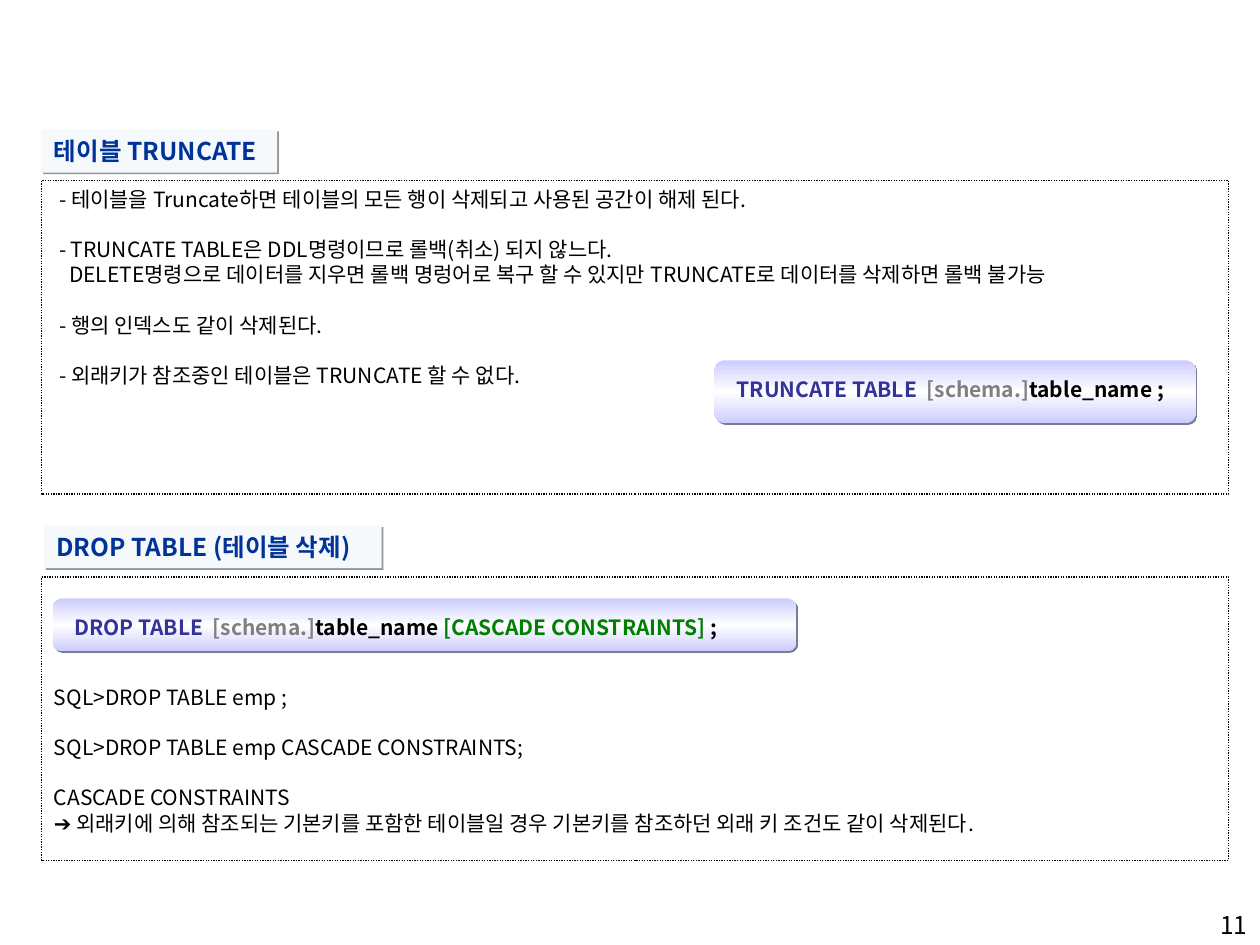
from copy import deepcopy
from dataclasses import dataclass

from lxml import etree
from pptx import Presentation
from pptx.dml.color import RGBColor as Color
from pptx.enum.dml import MSO_LINE as Dash
from pptx.enum.shapes import MSO_SHAPE as Preset
from pptx.enum.text import MSO_ANCHOR as Anchor, PP_ALIGN as Align
from pptx.oxml.ns import qn
from pptx.util import Inches, Pt


@dataclass(frozen=True)
class Theme:
    font: str = "Noto Sans CJK KR"
    symbol_font: str = "Arial"
    body_size: int = 12
    heading_size: int = 14
    line_height: float = 1.2
    text: str = "000000"
    heading: str = "003399"
    heading_fill: str = "F6F9FC"
    heading_shadow: str = "949597"
    keyword: str = "333399"
    optional: str = "808080"
    clause: str = "008000"
    code_edge: str = "CCCCFF"
    code_middle: str = "FFFFFF"
    code_shadow: str = "7A7A99"


class SlideBuilder:
    def __init__(self, slide, theme):
        self.slide = slide
        self.theme = theme

    def add_run(self, paragraph, text, size, color, bold=False, font=None):
        run = paragraph.add_run()
        run.text = text
        run.font.name = font or self.theme.font
        run.font.size = Pt(size)
        run.font.bold = bold
        run.font.color.rgb = Color.from_string(color)
        east_asian = etree.SubElement(run.font._element, qn("a:ea"))
        east_asian.set("typeface", self.theme.font)

    def format_paragraph(self, paragraph, size, align=Align.LEFT, gap=False):
        line = Pt(size * self.theme.line_height)
        paragraph.alignment = align
        paragraph.line_spacing = line
        paragraph.space_before = line if gap else Pt(0)

    def format_frame(self, frame, top=0.05, right=0.1):
        frame.word_wrap = True
        frame.vertical_anchor = Anchor.TOP
        frame.margin_left, frame.margin_right = Inches(0.1), Inches(right)
        frame.margin_top, frame.margin_bottom = Inches(top), Inches(0.05)

    def add_shape(self, preset, box):
        shape = self.slide.shapes.add_shape(preset, *map(Inches, box))
        shape.shadow.inherit = False
        shape.line.fill.background()
        return shape

    def add_shadow(self, shape, color):
        effects = shape._element.spPr.find(qn("a:effectLst"))
        shadow = etree.SubElement(effects, qn("a:outerShdw"), blurRad="0",
                                  dist=str(Pt(1.4)), dir="2700000",
                                  algn="ctr", rotWithShape="0")
        etree.SubElement(shadow, qn("a:srgbClr"), val=color)

    def add_panel(self, box, lines, top=0.05):
        """Each line is (text, blank line before it, left indent, symbol)."""
        shape = self.add_shape(Preset.RECTANGLE, box)
        shape.fill.background()
        shape.line.color.rgb = Color.from_string(self.theme.text)
        shape.line.width = Pt(0.75)
        shape.line.dash_style = Dash.ROUND_DOT
        frame = shape.text_frame
        self.format_frame(frame, top)
        size, color = self.theme.body_size, self.theme.text
        for index, (text, gap, indent, symbol) in enumerate(lines):
            paragraph = frame.add_paragraph() if index else frame.paragraphs[0]
            self.format_paragraph(paragraph, size, gap=gap)
            paragraph._p.get_or_add_pPr().set("marL", str(Inches(indent)))
            if symbol:
                self.add_run(paragraph, symbol, size, color,
                             font=self.theme.symbol_font)
            self.add_run(paragraph, text, size, color)

    def add_heading(self, box, text):
        shape = self.add_shape(Preset.RECTANGLE, box)
        shape.fill.solid()
        shape.fill.fore_color.rgb = Color.from_string(self.theme.heading_fill)
        self.add_shadow(shape, self.theme.heading_shadow)
        self.format_frame(shape.text_frame, right=0)
        paragraph = shape.text_frame.paragraphs[0]
        self.format_paragraph(paragraph, self.theme.heading_size)
        self.add_run(paragraph, text, self.theme.heading_size,
                     self.theme.heading, bold=True)

    def add_code_bar(self, box):
        shape = self.add_shape(Preset.ROUNDED_RECTANGLE, box)
        shape.fill.gradient()
        shape.fill.gradient_angle = 90
        first_stop = shape._element.spPr.find(".//" + qn("a:gs"))
        first_stop.addnext(deepcopy(first_stop))
        colors = (self.theme.code_edge, self.theme.code_middle,
                  self.theme.code_edge)
        for index, stop in enumerate(shape.fill.gradient_stops):
            stop.position = index / 2
            stop.color.rgb = Color.from_string(colors[index])
        self.add_shadow(shape, self.theme.code_shadow)

    def add_text(self, box, runs, size, align=Align.LEFT, bold=False):
        """Each run is (text, color)."""
        text_box = self.slide.shapes.add_textbox(*map(Inches, box))
        self.format_frame(text_box.text_frame)
        paragraph = text_box.text_frame.paragraphs[0]
        self.format_paragraph(paragraph, size, align)
        for text, color in runs:
            self.add_run(paragraph, text, size, color, bold)


def main():
    presentation = Presentation()
    presentation.slide_width, presentation.slide_height = Inches(10), Inches(7.5)
    slide = presentation.slides.add_slide(presentation.slide_layouts[6])
    theme = Theme()
    builder = SlideBuilder(slide, theme)

    # Page number
    builder.add_text((7.92, 7.17, 2.08, 0.5), [("11", theme.text)],
                     theme.heading_size, Align.RIGHT)

    # TRUNCATE section
    builder.add_panel((0.33, 1.43, 9.42, 2.49), [
        ("- 테이블을 Truncate하면 테이블의 모든 행이 삭제되고 사용된 공간이 해제 된다.",
         False, 0.04, ""),
        ("- TRUNCATE TABLE은 DDL명령이므로 롤백(취소) 되지 않느다.",
         True, 0.04, ""),
        ("DELETE명령으로 데이터를 지우면 롤백 명렁어로 복구 할 수 있지만 "
         "TRUNCATE로 데이터를 삭제하면 롤백 불가능", False, 0.12, ""),
        ("- 행의 인덱스도 같이 삭제된다.", True, 0.04, ""),
        ("- 외래키가 참조중인 테이블은 TRUNCATE 할 수 없다.", True, 0.04, ""),
    ])
    builder.add_heading((0.33, 1.03, 1.87, 0.34), "테이블 TRUNCATE")

    # DROP TABLE section, with room for the syntax bar above the examples
    builder.add_panel((0.33, 4.58, 9.42, 2.25), [
        ("SQL>DROP TABLE emp ;", False, 0, ""),
        ("SQL>DROP TABLE emp CASCADE CONSTRAINTS;", True, 0, ""),
        ("CASCADE CONSTRAINTS", True, 0, ""),
        ("외래키에 의해 참조되는 기본키를 포함한 테이블일 경우 "
         "기본키를 참조하던 외래 키 조건도 같이 삭제된다.", False, 0, "➔ "),
    ], top=0.85)
    builder.add_heading((0.35, 4.17, 2.68, 0.34), "DROP TABLE (테이블 삭제)")

    # Syntax bars
    schema = ("[schema.]", theme.optional)
    syntax_bars = [
        ((5.67, 2.86, 3.82, 0.5), (5.75, 2.94, 3.75, 0.3),
         [("TRUNCATE TABLE  ", theme.keyword), schema,
          ("table_name ;", theme.text)]),
        ((0.42, 4.75, 5.9, 0.42), (0.49, 4.83, 5.83, 0.3),
         [("DROP TABLE  ", theme.keyword), schema,
          ("table_name ", theme.text),
          ("[CASCADE CONSTRAINTS]", theme.clause), (" ;", theme.text)]),
    ]
    for bar_box, text_box, runs in syntax_bars:
        builder.add_code_bar(bar_box)
        builder.add_text(text_box, runs, theme.body_size, bold=True)

    presentation.save("out.pptx")


if __name__ == "__main__":
    main()
